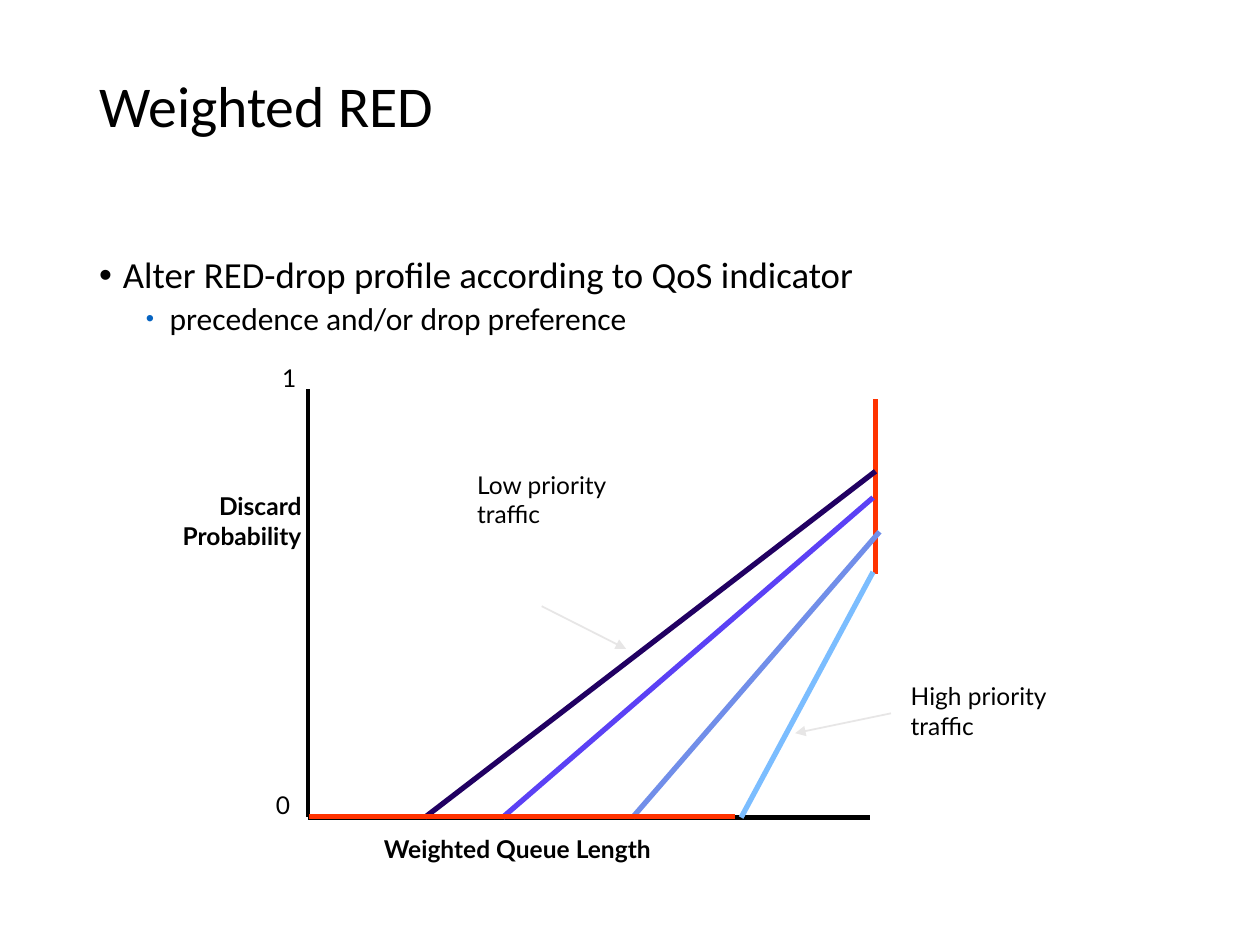
from lxml import etree
from pptx import Presentation
from pptx import util as u
from pptx.dml import color
from pptx.enum import shapes, text
from pptx.oxml import ns

BLACK, RED, GREY = "000000", "FF3300", "E7E6E6"
LEFT, RIGHT = text.PP_ALIGN.LEFT, text.PP_ALIGN.RIGHT
BASELINE = 16.48


def rgb(value):
    return color.RGBColor.from_string(value)


def add_element(parent, tag, **attributes):
    return etree.SubElement(parent, ns.qn(tag), attributes)


class SlideBuilder:
    def __init__(self, slide, heading_font="Calibri", label_font="Lato"):
        self.slide = slide
        self.heading_font = heading_font
        self.label_font = label_font

    def frame(self, left, top, width, height):
        box = self.slide.shapes.add_textbox(
            u.Cm(left), u.Cm(top), u.Cm(width), u.Cm(height))
        box.text_frame.word_wrap = True
        return box.text_frame

    def style(self, para, font, size, bold=False):
        para.font.name = font
        para.font.size = u.Pt(size)
        para.font.bold = bold
        para.font.color.rgb = rgb(BLACK)

    def title(self, words, *place):
        frame = self.frame(*place)
        frame.vertical_anchor = text.MSO_ANCHOR.MIDDLE
        para = frame.paragraphs[0]
        para.text = words
        para.line_spacing = 0.9
        self.style(para, self.heading_font, 33)

    def bullet(self, para, words, size, margin, bullet_color, bullet_size):
        para.text = words
        para.line_spacing = 0.9
        properties = para._p.get_or_add_pPr()
        properties.set("marL", str(u.Cm(margin)))
        properties.set("indent", str(u.Cm(-0.48)))
        holder = add_element(properties, "a:buClr")
        add_element(holder, "a:srgbClr", val=bullet_color)
        add_element(properties, "a:buSzPct", val=str(bullet_size * 1000))
        add_element(properties, "a:buFont", typeface="Arial")
        add_element(properties, "a:buChar", char="•")
        self.style(para, self.heading_font, size)

    def bullets(self, main, detail, *place):
        frame = self.frame(*place)
        frame.margin_top = u.Cm(1.17)
        self.bullet(frame.paragraphs[0], main, 21, 0.48, BLACK, 100)
        para = frame.add_paragraph()
        para.level = 1
        para.space_before = u.Pt(3.8)
        self.bullet(para, detail, 18, 1.42, "0563C1", 75)

    def label(self, words, place, bold=False, align=LEFT):
        para = self.frame(*place).paragraphs[0]
        para.text = words
        para.alignment = align
        self.style(para, self.label_font, 14, bold)

    def line(self, start, end, stroke, width=3, arrow=False):
        line = self.slide.shapes.add_connector(
            shapes.MSO_CONNECTOR.STRAIGHT, *map(u.Cm, start + end))
        line.line.color.rgb = rgb(stroke)
        line.line.width = u.Pt(width)
        if arrow:
            add_element(line.line._get_or_add_ln(), "a:tailEnd", type="triangle")
        add_element(line._element.spPr, "a:effectLst")


def main():
    deck = Presentation()
    deck.slide_width, deck.slide_height = u.Cm(25.4), u.Cm(19.05)
    page = SlideBuilder(deck.slides.add_slide(deck.slide_layouts[6]))

    page.title("Weighted RED", 1.75, 1.02, 21.89, 2.36)
    page.bullets("Alter RED-drop profile according to QoS indicator",
                 "precedence and/or drop preference",
                 1.75, 4.01, 21.89, 13.13)

    page.line((6.2, 7.85), (6.2, 16.46), BLACK, 2.25)
    page.line((6.2, BASELINE), (17.53, BASELINE), BLACK)
    page.line((17.65, 8.05), (17.65, 11.58), RED)

    drop_profiles = [
        (12.75, (17.73, 10.72), "718EE9"),
        (10.13, (17.6, 10.03), "5B41F5"),
        (8.56, (17.65, 9.5), "210062"),
        (14.94, (17.6, 11.53), "7BBDFF"),
    ]
    for threshold, end, stroke in drop_profiles:
        page.line((threshold, BASELINE), end, stroke)

    page.line((17.96, 14.38), (16.03, 14.78), GREY, 1, arrow=True)
    page.line((10.92, 12.22), (12.62, 13.08), GREY, 1, arrow=True)
    page.line((14.81, 16.46), (6.22, 16.46), RED)

    page.label("Discard Probability", (2.11, 9.78, 4.22, 1.75), True, RIGHT)
    page.label("Weighted Queue Length", (7.49, 16.69, 8.33, 1.04), True)
    page.label("High priority traffic", (18.11, 13.61, 3.28, 2.49))
    page.label("Low priority traffic", (9.37, 9.35, 3.28, 2.49))
    page.label("1", (5.44, 7.19, 0.99, 1.04))
    page.label("0", (5.31, 15.8, 0.99, 1.04))

    deck.save("out.pptx")


if __name__ == "__main__":
    main()
